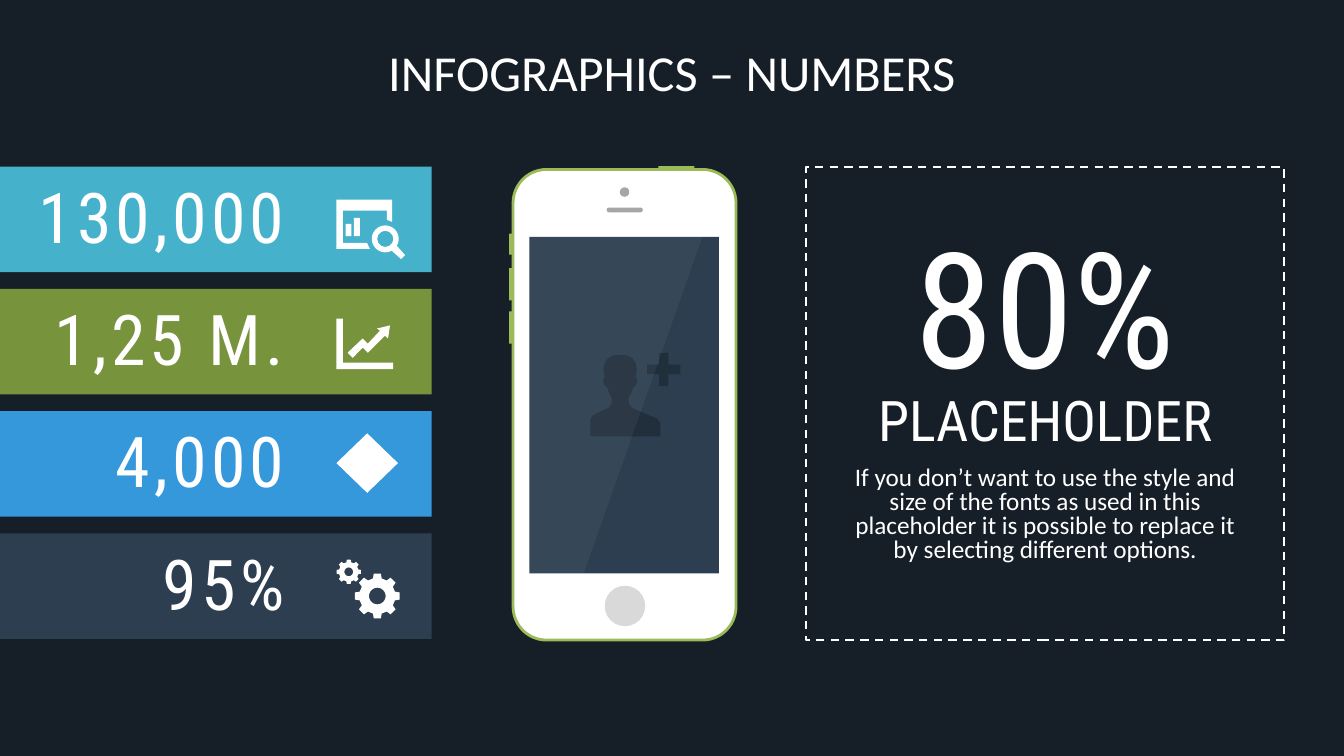
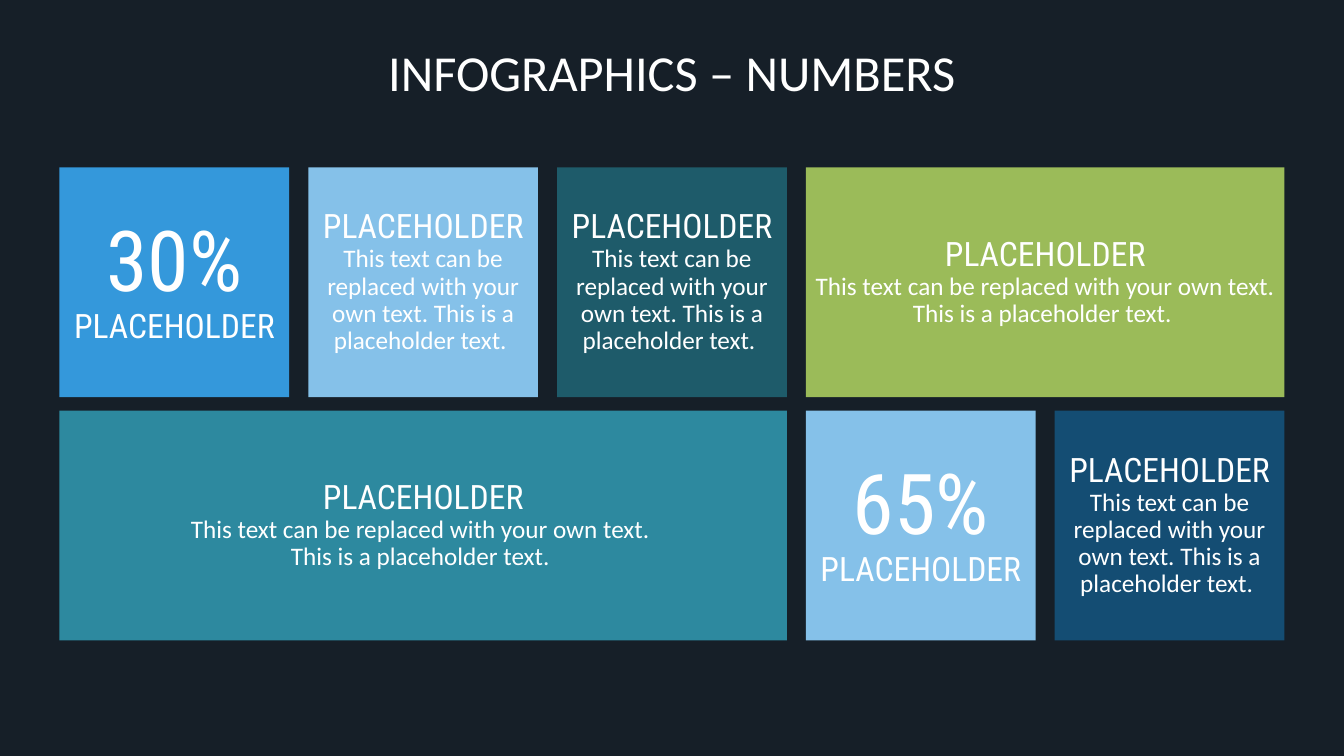
import math

import pptx
import pptx.dml.color
import pptx.enum.dml
import pptx.enum.shapes
import pptx.enum.text
import pptx.oxml
import pptx.oxml.ns
import pptx.util

Cm = pptx.util.Cm
Pt = pptx.util.Pt
RGBColor = pptx.dml.color.RGBColor
Shape = pptx.enum.shapes.MSO_SHAPE
Align = pptx.enum.text.PP_ALIGN
Anchor = pptx.enum.text.MSO_ANCHOR

NIGHT = RGBColor(0x16, 0x1F, 0x28)
WHITE = RGBColor(0xFF, 0xFF, 0xFF)
SLATE = RGBColor(0x2C, 0x3E, 0x50)
SHADE = RGBColor(0x21, 0x2E, 0x3C)
GREY = RGBColor(0xA6, 0xA6, 0xA6)
SILVER = RGBColor(0xD9, 0xD9, 0xD9)
CYAN = RGBColor(0x45, 0xB1, 0xCB)
OLIVE = RGBColor(0x77, 0x93, 0x3C)
GREEN = RGBColor(0x9B, 0xBB, 0x59)
BLUE = RGBColor(0x34, 0x98, 0xDB)
SKY = RGBColor(0x85, 0xC1, 0xE9)
TEAL = RGBColor(0x2D, 0x89, 0x9F)
PINE = RGBColor(0x1E, 0x5B, 0x6A)
NAVY = RGBColor(0x14, 0x4D, 0x73)

BODY_FONT = "Calibri"
NUMBER_FONT = "Roboto Condensed"
TITLE = "INFOGRAPHICS – NUMBERS"
LABEL = "PLACEHOLDER"
SENTENCES = ("This text can be replaced with your own text. ", "This is a placeholder text. ")


class Infographic:
    """Holds the deck's style and current slide, and draws each kind of element."""

    formats = {
        "title": {"name": BODY_FONT, "size": Pt(36)},
        "body": {"name": BODY_FONT, "size": Pt(18)},
        "label": {"name": NUMBER_FONT, "size": Pt(24)},
        "heading": {"name": NUMBER_FONT, "size": Pt(40)},
        "bar": {"name": NUMBER_FONT, "size": Pt(50)},
        "figure": {"name": NUMBER_FONT, "size": Pt(60)},
        "hero": {"name": NUMBER_FONT, "size": Pt(115)},
    }

    def __init__(self):
        self.deck = pptx.Presentation()
        self.deck.slide_width, self.deck.slide_height = Cm(33.87), Cm(19.05)
        self.slide = None

    def add_slide(self, title):
        self.slide = self.deck.slides.add_slide(self.deck.slide_layouts[6])
        self.slide.background.fill.solid()
        self.slide.background.fill.fore_color.rgb = NIGHT
        box = self.slide.shapes.add_textbox(Cm(1.5), Cm(1.2), Cm(30.87), Cm(3))
        self.set_text(box, [[("title", title)]], {"line_spacing": 0.9}, (0, 0, 0, 0), Anchor.TOP)

    def paint(self, shape, color):
        shape.shadow.inherit = False
        shape.line.fill.background()
        if color is None:
            shape.fill.background()
        else:
            shape.fill.solid()
            shape.fill.fore_color.rgb = color
        return shape

    def preset(self, kind, left, top, width, height, color, adjustment=None):
        shape = self.slide.shapes.add_shape(kind, Cm(left), Cm(top), Cm(width), Cm(height))
        if adjustment is not None:
            shape.adjustments[0] = adjustment
        return self.paint(shape, color)

    def outline(self, color, *contours):
        contours = [[(Cm(x), Cm(y)) for x, y in contour] for contour in contours]
        builder = self.slide.shapes.build_freeform(*contours[0][0], scale=1.0)
        for index, contour in enumerate(contours):
            if index:
                builder.move_to(*contour[0])
            builder.add_line_segments(contour[1:], close=True)
        return self.paint(builder.convert_to_shape(), color)

    def set_text(self, shape, paragraphs, layout, insets, anchor=Anchor.MIDDLE, tracking=0):
        frame = shape.text_frame
        frame.word_wrap = True
        frame.vertical_anchor = anchor
        for side, inset in zip(("left", "top", "right", "bottom"), insets):
            setattr(frame, f"margin_{side}", Cm(inset))
        for index, lines in enumerate(paragraphs):
            para = frame.add_paragraph() if index else frame.paragraphs[0]
            for name, value in {"alignment": Align.CENTER, **layout}.items():
                setattr(para, name, value)
            for number, (style, text) in enumerate(lines):
                if number:
                    para.add_line_break()
                span = para.add_run()
                span.text = text
                span.font.color.rgb = WHITE
                for name, value in self.formats[style].items():
                    setattr(span.font, name, value)
                if tracking:
                    span._r.get_or_add_rPr().set("spc", str(tracking))

    def bar(self, row, text, color):
        shape = self.preset(Shape.RECTANGLE, 0, 4.2 + 3.08 * row, 10.88, 2.66, color)
        layout = {"alignment": Align.RIGHT, "space_after": Pt(8)}
        self.set_text(shape, [[("bar", text)]], layout, (0.2, 0.2, 3.7, 0.4), tracking=300)

    def cell(self, column, row, columns, rows, color):
        side, across, down = 5.79, 6.27, 6.13
        return self.preset(Shape.RECTANGLE, 1.5 + across * column, 4.22 + down * row,
                           side + across * (columns - 1), side + down * (rows - 1), color)

    def tile(self, column, row, columns, color, lines):
        layout = {"line_spacing": 0.9, "space_after": Pt(10)}
        self.set_text(self.cell(column, row, columns, 1, color), [lines], layout, (0.2,) * 4)

    def callout(self, paragraphs):
        box = self.cell(3, 0, 2, 2, None)
        box.line.color.rgb = WHITE
        box.line.width = Pt(1.5)
        box.line.dash_style = pptx.enum.dml.MSO_LINE.DASH
        layout = {"line_spacing": 0.8, "space_after": Pt(10)}
        self.set_text(box, paragraphs, layout, (1, 0.5, 1, 0.5))

    def gear(self, x, y, radius, hole):
        def point(distance, degrees):
            angle = math.radians(degrees)
            return x + distance * math.cos(angle), y + distance * math.sin(angle)

        tooth = ((0.8, -14), (1, -9), (1, 9), (0.8, 14))
        rim = [point(radius * reach, 45 * step + turn) for step in range(8) for reach, turn in tooth]
        self.outline(WHITE, rim, [point(hole, 15 * step) for step in range(24)])

    def report_icon(self):
        self.outline(WHITE, [(8.48, 5.03), (9.88, 5.03), (9.88, 5.59), (9.75, 5.54), (9.75, 5.31),
                             (8.64, 5.31), (8.64, 6.12), (9.25, 6.12), (9.32, 6.27), (8.48, 6.27)])
        self.preset(Shape.RECTANGLE, 8.71, 5.64, 0.15, 0.31, WHITE)
        self.preset(Shape.RECTANGLE, 8.92, 5.49, 0.15, 0.46, WHITE)
        self.preset(Shape.DONUT, 9.37, 5.68, 0.68, 0.68, WHITE, 0.2)
        self.outline(WHITE, [(9.98, 6.17), (10.21, 6.43), (10.11, 6.53), (9.85, 6.3)])

    def growth_icon(self):
        self.outline(WHITE, [(8.48, 8.03), (8.64, 8.03), (8.64, 9.14),
                             (9.91, 9.14), (9.91, 9.3), (8.48, 9.3)])
        self.outline(WHITE, [(9.14, 8.76), (8.89, 9.02), (8.76, 8.89), (9.14, 8.53),
                             (9.27, 8.66), (9.58, 8.33), (9.5, 8.28), (9.83, 8.2),
                             (9.78, 8.53), (9.7, 8.46), (9.27, 8.89)])

    def person(self):
        head = [(15.62, 8.94), (15.45, 8.96), (15.32, 9.03), (15.24, 9.14), (15.21, 9.32),
                (15.24, 9.5), (15.2, 9.55), (15.22, 9.68), (15.3, 9.76), (15.35, 9.9),
                (15.42, 10.03), (15.41, 10.18), (15.33, 10.28)]
        shoulders = [(15.09, 10.39), (14.93, 10.47), (14.88, 10.57), (14.88, 11),
                     (16.64, 11), (16.64, 10.67), (16.57, 10.55), (16.18, 10.39)]
        mirrored = [(31.26 - x, y) for x, y in reversed(head)]
        self.outline(SHADE, head + shoulders + mirrored)

    def phone(self):
        for left, top, width, height in ((12.83, 5.89, 0.15, 0.53), (12.83, 6.76, 0.15, 0.81),
                                         (12.83, 7.85, 0.15, 0.81), (16.59, 4.19, 0.91, 0.15)):
            self.preset(Shape.RECTANGLE, left, top, width, height, GREEN)
        body = self.preset(Shape.ROUNDED_RECTANGLE, 12.93, 4.27, 5.62, 11.86, WHITE, 0.15)
        body.line.color.rgb = GREEN
        body.line.width = Pt(2)
        self.preset(Shape.ROUNDED_RECTANGLE, 15.29, 5.23, 0.91, 0.12, GREY, 0.5)
        self.preset(Shape.OVAL, 15.62, 4.72, 0.24, 0.24, GREY)
        self.preset(Shape.OVAL, 15.24, 14.76, 1.02, 1.02, SILVER)
        self.preset(Shape.RECTANGLE, 13.34, 5.97, 4.78, 8.48, SLATE)
        self.preset(Shape.CROSS, 16.31, 8.89, 0.84, 0.84, SHADE, 0.36)
        self.person()
        glare = self.outline(WHITE, [(14.71, 14.45), (13.34, 14.45), (13.34, 5.97), (17.7, 5.97)])
        color = glare.element.spPr.find(".//" + pptx.oxml.ns.qn("a:srgbClr"))
        color.append(pptx.oxml.parse_xml(
            f'<a:alpha {pptx.oxml.ns.nsdecls("a")} val="5000"/>'))


def main():
    page = Infographic()

    page.add_slide(TITLE)
    bars = (("130,000", CYAN), ("1,25 M.", OLIVE), ("4,000", BLUE), ("95%", SLATE))
    for row, (text, color) in enumerate(bars):
        page.bar(row, text, color)
    page.report_icon()
    page.growth_icon()
    page.preset(Shape.DIAMOND, 8.48, 10.92, 1.55, 1.5, WHITE)
    page.gear(9.51, 15.02, 0.57, 0.21)
    page.gear(8.79, 14.41, 0.31, 0.11)
    page.phone()
    page.callout([
        [("hero", "80%"), ("heading", LABEL)],
        [("body", "If you don’t want to use the style and size of the fonts as used in this "
                  "placeholder it is possible to replace it by selecting different options.")],
    ])

    page.add_slide(TITLE)
    message = [("label", LABEL), ("body", "".join(SENTENCES))]
    split_message = [("label", LABEL)] + [("body", sentence) for sentence in SENTENCES]
    tiles = (
        (0, 0, 1, BLUE, [("figure", "30%"), ("label", LABEL)]),
        (1, 0, 1, SKY, message),
        (2, 0, 1, PINE, message),
        (3, 0, 2, GREEN, message),
        (0, 1, 3, TEAL, split_message),
        (3, 1, 1, SKY, [("figure", "65%"), ("label", LABEL)]),
        (4, 1, 1, NAVY, message),
    )
    for tile in tiles:
        page.tile(*tile)

    page.deck.save("out.pptx")


if __name__ == "__main__":
    main()
